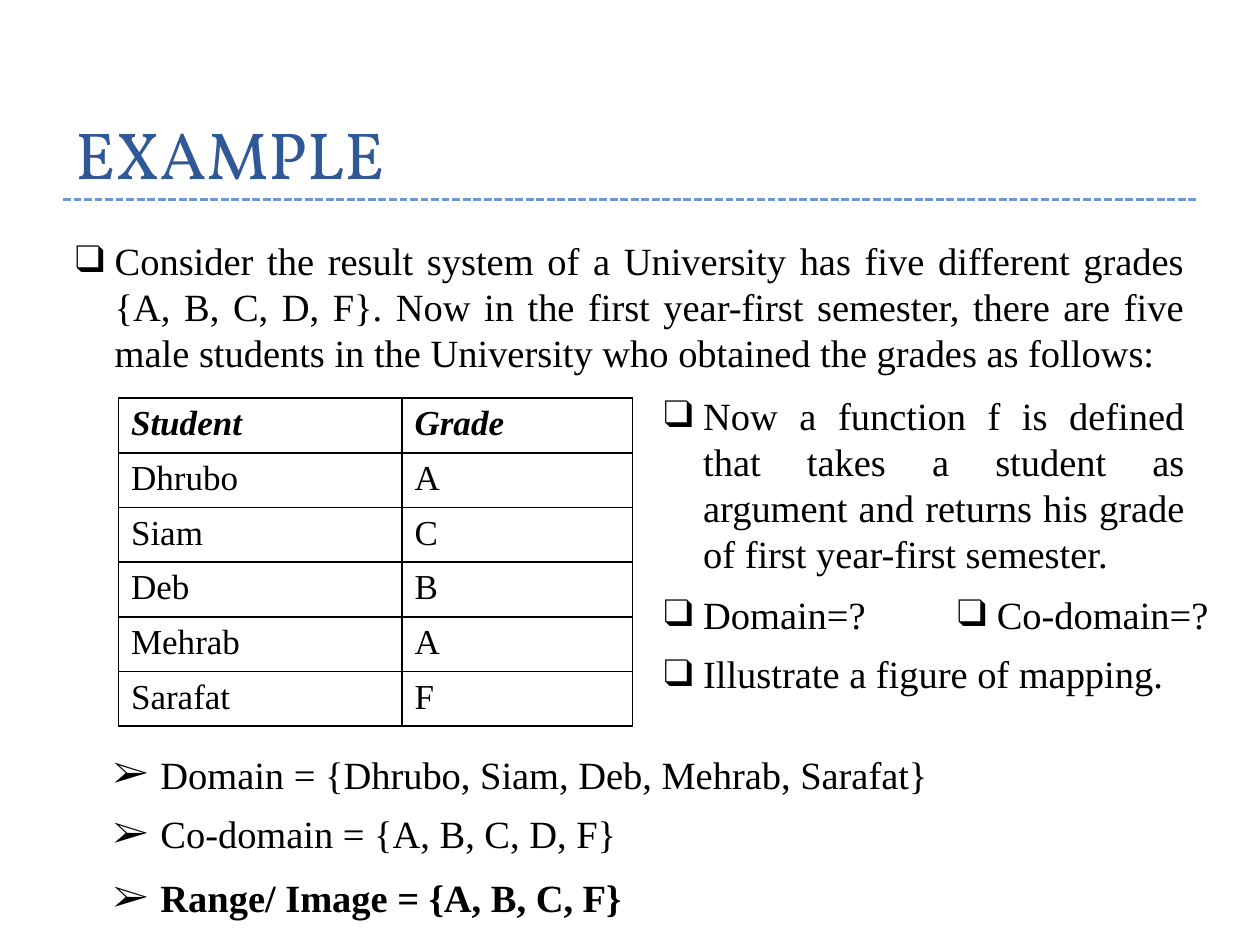
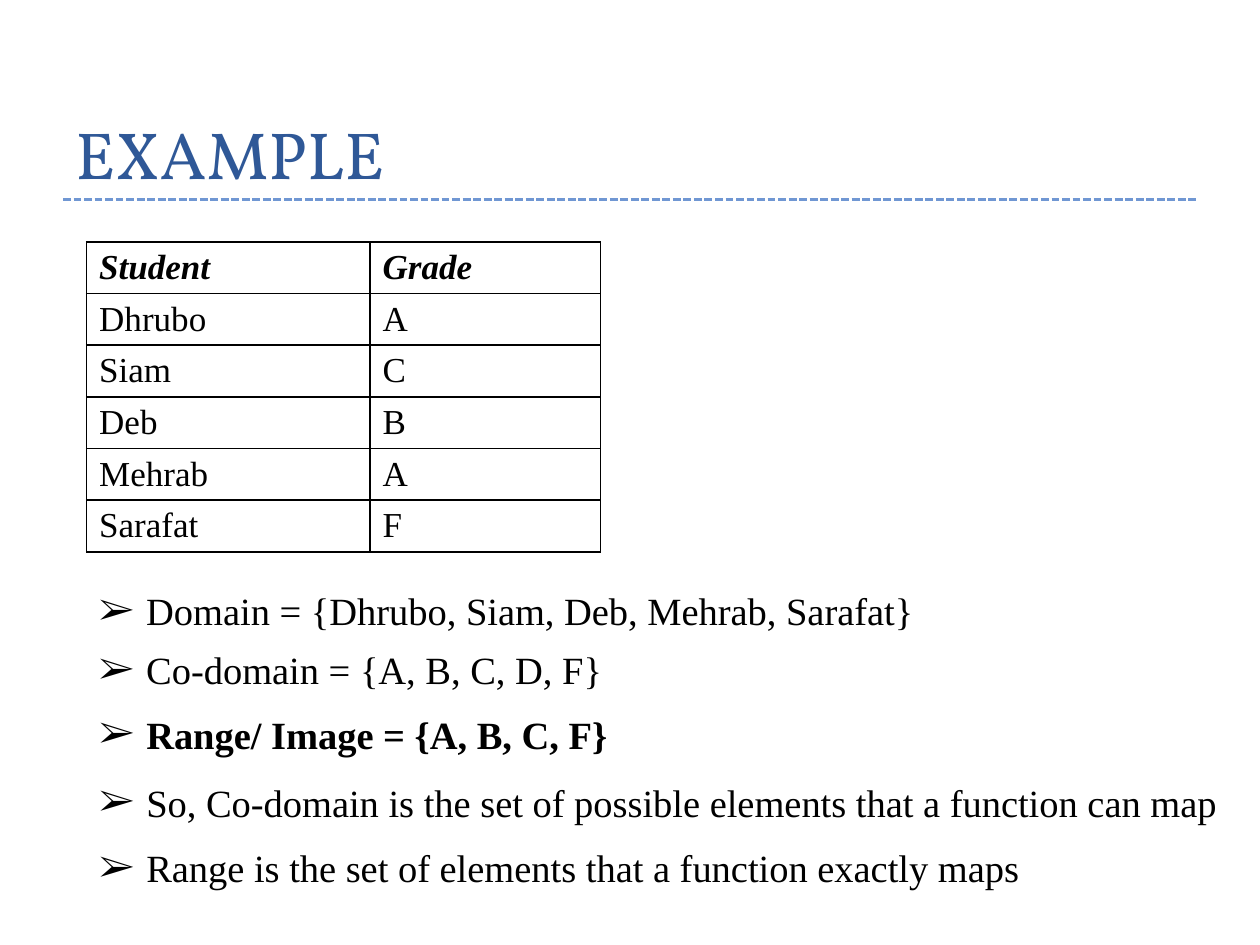
from lxml.etree import SubElement
from pptx import Presentation
from pptx.dml.color import RGBColor
from pptx.enum.dml import MSO_LINE
from pptx.enum.shapes import MSO_CONNECTOR, MSO_SHAPE
from pptx.enum.text import MSO_ANCHOR, MSO_AUTO_SIZE, PP_ALIGN
from pptx.oxml.ns import qn
from pptx.util import Inches, Pt

BLACK = RGBColor(0x00, 0x00, 0x00)
WHITE = RGBColor(0xFF, 0xFF, 0xFF)
TITLE_BLUE = RGBColor(0x2F, 0x58, 0x97)
RULE_BLUE = RGBColor(0x70, 0x97, 0xD3)
TITLE_FONT = "Vollkorn"
BODY_FONT = "Times New Roman"
RULE_TOP = 19 / 12
LINE_HEIGHT = 0.47
BOX_BULLET = ("❑", 5 / 16)
ARROW_BULLET = ("➢", 3 / 8)
ANSWER_LEFT = 11 / 16

GRADES = [
    ("Student", "Grade"),
    ("Dhrubo", "A"),
    ("Siam", "C"),
    ("Deb", "B"),
    ("Mehrab", "A"),
    ("Sarafat", "F"),
]
DOMAIN = "Domain = {Dhrubo, Siam, Deb, Mehrab, Sarafat}"
CODOMAIN = "Co-domain = {A, B, C, D, F}"
RANGE = "Range/ Image = {A, B, C, F}"


def style_runs(paragraph, font_name, size, color, bold=False, italic=False):
    for run in paragraph.runs:
        run.font.name = font_name
        run.font.size = Pt(size)
        run.font.color.rgb = color
        run.font.bold = bold
        run.font.italic = italic


def add_footer_patch(slide, left):
    patch = slide.shapes.add_shape(
        MSO_SHAPE.RECTANGLE, Inches(left), Inches(7.04), Inches(0.25), Inches(0.23))
    patch.shadow.inherit = False
    patch.fill.solid()
    patch.fill.fore_color.rgb = WHITE
    patch.line.fill.background()


def add_titled_slide(prs, heading):
    """Add a blank slide with footer patches, the dashed rule and the heading."""
    slide = prs.slides.add_slide(prs.slide_layouts[6])
    for left in (0.5, 9.17):
        add_footer_patch(slide, left)
    rule = slide.shapes.add_connector(
        MSO_CONNECTOR.STRAIGHT, Inches(0.5), Inches(RULE_TOP), Inches(9.5), Inches(RULE_TOP))
    rule.line.color.rgb = RULE_BLUE
    rule.line.width = Pt(1.5)
    rule.line.dash_style = MSO_LINE.SQUARE_DOT
    SubElement(rule._element.spPr, qn("a:effectLst"))

    title = slide.shapes.add_textbox(Inches(0.5), Inches(-0.17), Inches(9), Inches(1.75))
    frame = title.text_frame
    frame.word_wrap = True
    frame.vertical_anchor = MSO_ANCHOR.BOTTOM
    frame.text = heading
    frame.paragraphs[0].line_spacing = Pt(58)
    style_runs(frame.paragraphs[0], TITLE_FONT, 38, TITLE_BLUE)
    return slide


def add_bullet(slide, text, bullet, left, top, width, height=LINE_HEIGHT, bold=False):
    symbol, indent = bullet
    box = slide.shapes.add_textbox(Inches(left), Inches(top), Inches(width), Inches(height))
    frame = box.text_frame
    frame.word_wrap = True
    frame.auto_size = MSO_AUTO_SIZE.SHAPE_TO_FIT_TEXT
    frame.text = text
    paragraph = frame.paragraphs[0]
    paragraph.alignment = PP_ALIGN.JUSTIFY
    properties = paragraph._p.get_or_add_pPr()
    properties.set("marL", str(Inches(indent)))
    properties.set("indent", str(-Inches(indent)))
    SubElement(properties, qn("a:buFont"), typeface=BODY_FONT)
    SubElement(properties, qn("a:buChar"), char=symbol)
    style_runs(paragraph, BODY_FONT, 22, BLACK, bold)


def add_borders(cell):
    properties = cell._tc.get_or_add_tcPr()
    for position, side in enumerate(("a:lnL", "a:lnR", "a:lnT", "a:lnB")):
        border = SubElement(properties, qn(side), w=str(Pt(1)))
        fill = SubElement(border, qn("a:solidFill"))
        SubElement(fill, qn("a:srgbClr"), val=str(BLACK))
        properties.remove(border)
        properties.insert(position, border)


def add_grade_table(slide, left, top, row_height, bottom_margin):
    table = slide.shapes.add_table(
        len(GRADES), 2, Inches(left), Inches(top),
        Inches(4.08), Inches(row_height * len(GRADES))).table
    for column, width in zip(table.columns, (2.25, 1.83)):
        column.width = Inches(width)
    for row_number, values in enumerate(GRADES):
        is_header = row_number == 0
        for column_number, value in enumerate(values):
            cell = table.cell(row_number, column_number)
            cell.text = value
            cell.margin_bottom = Inches(bottom_margin)
            cell.fill.background()
            add_borders(cell)
            style_runs(cell.text_frame.paragraphs[0], BODY_FONT, 20, BLACK,
                       is_header, is_header)


def add_sets(slide, left, top):
    """List the domain, co-domain and range of the grade function."""
    add_bullet(slide, DOMAIN, ARROW_BULLET, left, top, 8.7)
    add_bullet(slide, CODOMAIN, ARROW_BULLET, left, top + LINE_HEIGHT, 8.7)
    add_bullet(slide, RANGE, ARROW_BULLET, left, top + 0.98, 4.45, bold=True)


def build_question_slide(prs):
    slide = add_titled_slide(prs, "EXAMPLE")
    add_bullet(
        slide,
        "Consider the result system of a University has five different grades "
        "{A, B, C, D, F}. Now in the first year-first semester, there are five male "
        "students in the University who obtained the grades as follows:",
        BOX_BULLET, 0.5, 1.83, 9, 1.21)
    add_grade_table(slide, 0.94, 3.16, 0.43, 0.05)
    add_bullet(
        slide,
        "Now a function f is defined that takes a student as argument and returns "
        "his grade of first year-first semester.",
        BOX_BULLET, 5.17, 3.06, 4.33, 1.58)
    add_bullet(slide, "Domain=?", BOX_BULLET, 5.17, 4.64, 2)
    add_bullet(slide, "Co-domain=?", BOX_BULLET, 7.5, 4.64, 2.75)
    add_bullet(slide, "Illustrate a figure of mapping.", BOX_BULLET, 5.17, 5.11, 4.33)
    add_sets(slide, 0.8, 5.91)


def build_answer_slide(prs):
    slide = add_titled_slide(prs, "EXAMPLE")
    add_grade_table(slide, ANSWER_LEFT, 1.92, 0.41, 0.02)
    add_sets(slide, ANSWER_LEFT, 4.61)
    add_bullet(slide, "So, Co-domain is the set of possible elements that a function can map",
               ARROW_BULLET, ANSWER_LEFT, 6.13, 9.31)
    add_bullet(slide, "Range is the set of elements that a function exactly maps",
               ARROW_BULLET, ANSWER_LEFT, 6.65, 9.31)


def main():
    prs = Presentation()
    prs.slide_width = Inches(10)
    prs.slide_height = Inches(7.5)
    build_question_slide(prs)
    build_answer_slide(prs)
    prs.save("out.pptx")


if __name__ == "__main__":
    main()
